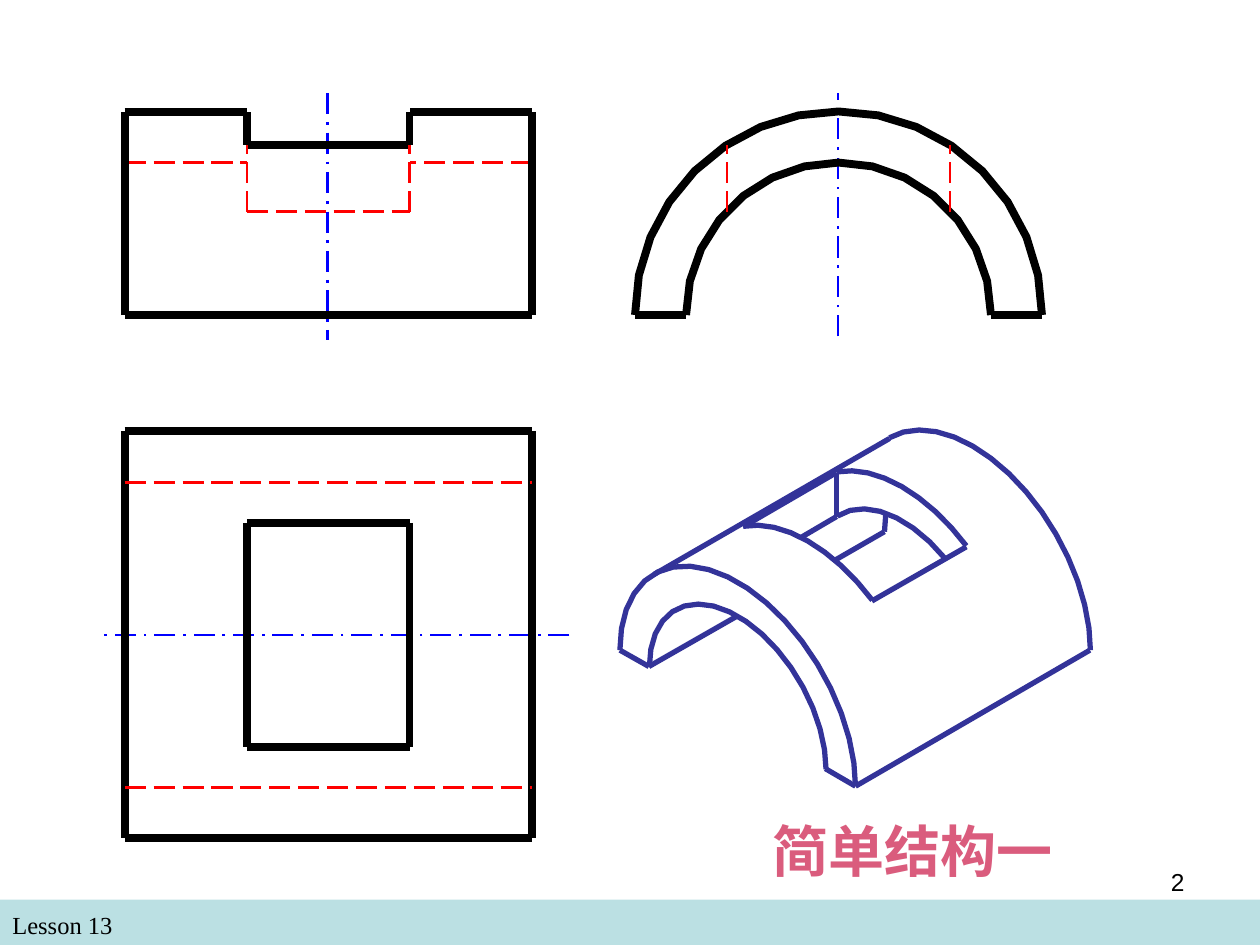
from math import cos, sin, radians

from lxml.etree import SubElement
from pptx import Presentation
from pptx.dml.color import RGBColor
from pptx.enum.dml import MSO_LINE as DASH
from pptx.enum.shapes import MSO_CONNECTOR as CONN, MSO_SHAPE as SHAPE
from pptx.enum.text import MSO_ANCHOR as ANCHOR, MSO_AUTO_SIZE as FIT, PP_ALIGN as ALIGN
from pptx.oxml.ns import qn
from pptx.util import Inches, Pt

HEX = {
    "edge": "000000",
    "hidden": "FF0000",
    "axis": "0000FF",
    "solid": "333399",
    "title": "DA5C7D",
    "band": "BBE0E3",
}
# Line styles: width in points and dash
STYLE = {
    "edge": (4.5, None),
    "hidden": (1.5, DASH.LONG_DASH),
    "axis": (1.5, DASH.LONG_DASH_DOT),
    "solid": (3, None),
}

# Shared sizes of the part, in inches
LEFT, RIGHT = 0.99, 4.22            # front and top view
SLOT_L, SLOT_R = 1.96, 3.25
TOP, FLOOR, BASE = 0.89, 1.15, 2.5  # front view heights
BORE, DEEP = 1.29, 1.68
BACK, FRONT = 3.42, 6.65            # top view depths
SLOT_B, SLOT_F = 4.15, 5.93
MID, OUTER, INNER = 6.655, 1.615, 1.21  # side view arch


def color(name):
    return RGBColor.from_string(HEX[name])


def pen(line, kind):
    width, dash = STYLE[kind]
    line.color.rgb = color(kind)
    line.width = Pt(width)
    if dash:
        line.dash_style = dash


def draw_line(slide, kind, x1, y1, x2, y2):
    line = slide.shapes.add_connector(
        CONN.STRAIGHT, Inches(x1), Inches(y1), Inches(x2), Inches(y2))
    pen(line.line, kind)
    SubElement(line._element.spPr, qn("a:effectLst"))


def draw_path(slide, kind, points):
    spots = [(Inches(x), Inches(y)) for x, y in points]
    pen_path = slide.shapes.build_freeform(*spots[0])
    pen_path.add_line_segments(spots[1:], close=False)
    shape = pen_path.convert_to_shape()
    shape.shadow.inherit = False
    shape.fill.background()
    pen(shape.line, kind)


def draw_box(slide, kind, x1, y1, x2, y2):
    for ends in ((x1, y1, x2, y1), (x1, y2, x2, y2),
                 (x1, y1, x1, y2), (x2, y1, x2, y2)):
        draw_line(slide, kind, *ends)


def sweep(start, end, steps):
    return [radians(start + (end - start) * i / steps) for i in range(steps + 1)]


def arch(radius, steps):
    """Half circle of the side view."""
    return [(MID + radius * cos(a), BASE - radius * sin(a))
            for a in sweep(0, 180, steps)]


def iso_arc(depth, ratio, start, end, steps):
    """Arc of the tilted half pipe; depth runs 0 (front) to 1 (back)."""
    x, y = 5.855 + 1.865 * depth, 5.7 - 1.08 * depth
    return [(x + ratio * 0.935 * cos(a),
             y + ratio * (0.54 * cos(a) - 1.08 * sin(a)))
            for a in sweep(start, end, steps)]


def set_text(shape, text, box, size, font, tint, align, bold=False):
    shape.left, shape.top, shape.width, shape.height = map(Inches, box)
    frame = shape.text_frame
    frame.text = text
    frame.word_wrap = True
    frame.auto_size = FIT.NONE
    frame.margin_left = frame.margin_right = Inches(0.1)
    frame.margin_top = frame.margin_bottom = Inches(0.05)
    para = frame.paragraphs[0]
    para.alignment = align
    run = para.runs[0].font
    run.name, run.size, run.bold = font, Pt(size), bold
    run.color.rgb = color(tint)


def draw_solid(slide):
    for curve in (
        (1, 1, 0, 135, 15),       # back rim
        (0, 1, 0, 180, 19),       # front rim
        (0, 0.75, 0, 180, 17),    # front bore
        (0.3, 1, 57, 123.5, 8),   # slot, front
        (0.7, 1, 57, 123.5, 8),   # slot, back
        (0.7, 0.75, 61, 137, 7),  # slot, back bore
    ):
        draw_path(slide, "solid", iso_arc(*curve))
    for ends in (
        (8.65, 5.16, 6.79, 6.24), (5.15, 5.29, 4.92, 5.16),
        (6.79, 6.24, 6.55, 6.1), (7.06, 3.48, 5.19, 4.56),
        (5.85, 4.89, 5.15, 5.29), (7.03, 4.08, 7.02, 4.22),
        (7.02, 4.22, 6.62, 4.45), (5.9, 4.18, 6.64, 3.75),
        (6.64, 4.1, 6.35, 4.27), (6.64, 4.1, 6.64, 3.75),
        (7.67, 4.34, 6.92, 4.77),
    ):
        draw_line(slide, "solid", *ends)


def draw_axes(slide):
    for ends in ((4.52, 5.04, 0.82, 5.04), (2.6, 0.74, 2.6, 2.7),
                 (6.65, 2.67, 6.65, 0.74)):
        draw_line(slide, "axis", *ends)


def draw_front(slide):
    draw_line(slide, "edge", RIGHT, BASE, LEFT, BASE)
    draw_line(slide, "edge", SLOT_R, FLOOR, SLOT_L, FLOOR)
    draw_line(slide, "hidden", SLOT_L, DEEP, SLOT_R, DEEP)
    for side, slot in ((LEFT, SLOT_L), (RIGHT, SLOT_R)):
        draw_line(slide, "hidden", slot, DEEP, slot, FLOOR)
        draw_line(slide, "hidden", side, BORE, slot, BORE)
        draw_line(slide, "edge", side, BASE, side, TOP)
        draw_line(slide, "edge", slot, FLOOR, slot, TOP)
        draw_line(slide, "edge", side, TOP, slot, TOP)


def draw_side(slide):
    draw_path(slide, "edge", arch(OUTER, 16))
    draw_path(slide, "edge", arch(INNER, 14))
    for sign in (-1, 1):
        draw_line(slide, "edge", MID + sign * OUTER, BASE, MID + sign * INNER, BASE)
        wall = MID + sign * 0.885
        draw_line(slide, "hidden", wall, DEEP, wall, FLOOR)


def draw_plan(slide):
    draw_box(slide, "edge", LEFT, BACK, RIGHT, FRONT)
    draw_box(slide, "edge", SLOT_L, SLOT_B, SLOT_R, SLOT_F)
    for y in (3.83, 6.25):
        draw_line(slide, "hidden", LEFT, y, RIGHT, y)


def add_footer(slide):
    band = slide.shapes.add_shape(
        SHAPE.RECTANGLE, Inches(0), Inches(7.14), Inches(10), Inches(0.36))
    band.shadow.inherit = False
    band.fill.solid()
    band.fill.fore_color.rgb = color("band")
    band.line.fill.background()
    for text, box, font, align in (
        ("Lesson 13", (0, 7.17, 4.83, 0.34), "Times New Roman", ALIGN.LEFT),
        ("2", (7.17, 6.83, 2.33, 0.52), "Arial", ALIGN.RIGHT),
    ):
        note = slide.shapes.add_textbox(0, 0, 0, 0)
        set_text(note, text, box, 14, font, "edge", align)


def main():
    deck = Presentation()
    deck.slide_width, deck.slide_height = Inches(10), Inches(7.5)
    slide = deck.slides.add_slide(deck.slide_layouts[5])

    # Title
    title = slide.shapes.title
    set_text(title, "简单结构一", (5.08, 6.43, 4.33, 0.64), 32,
             "Times New Roman", "title", ALIGN.CENTER, bold=True)
    title.text_frame.vertical_anchor = ANCHOR.MIDDLE

    # Footer, solid and the three views
    add_footer(slide)
    draw_solid(slide)
    draw_axes(slide)
    draw_front(slide)
    draw_side(slide)
    draw_plan(slide)
    deck.save("out.pptx")


if __name__ == "__main__":
    main()
